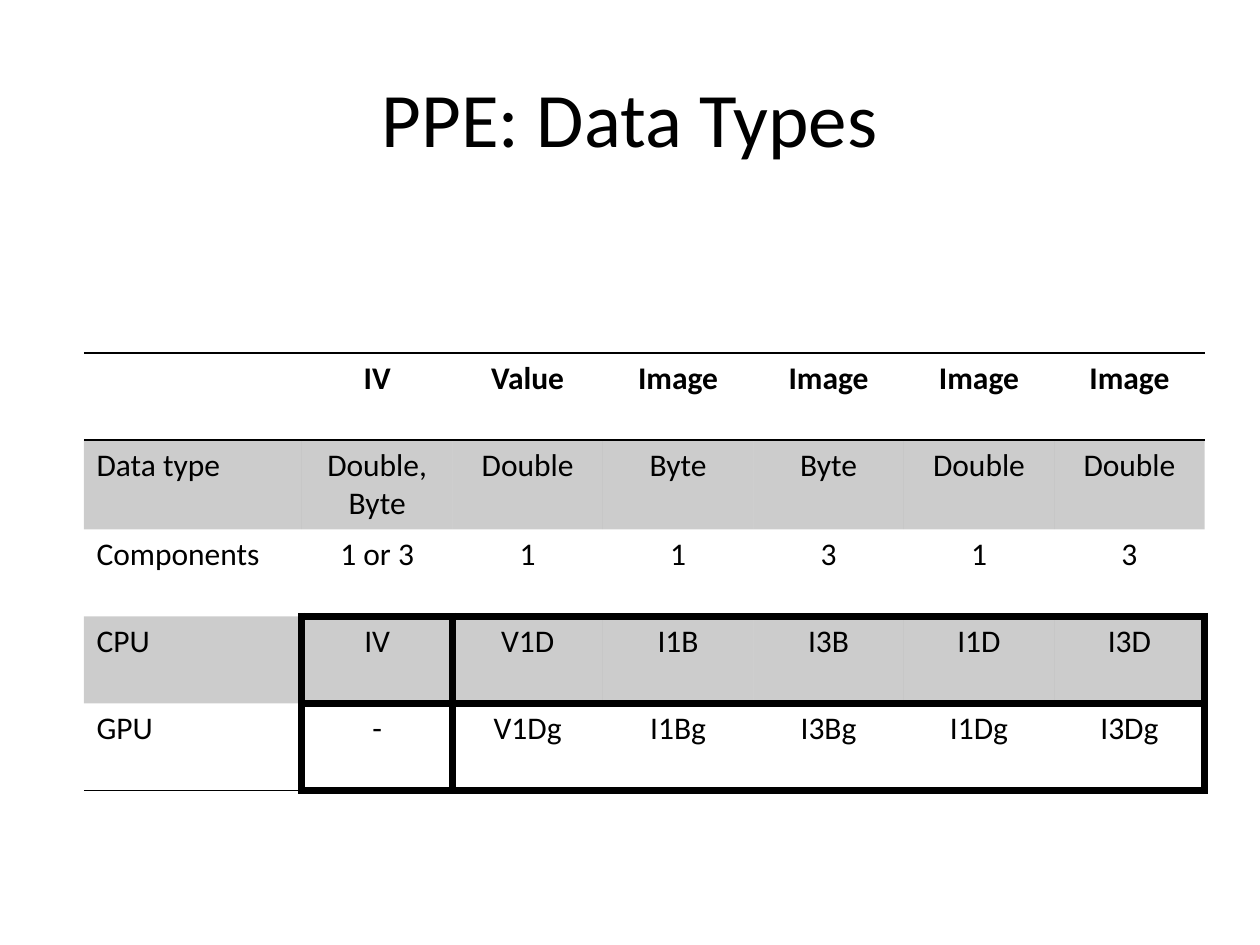
from lxml.etree import SubElement
from pptx import Presentation
from pptx.dml.color import RGBColor
from pptx.enum.text import MSO_ANCHOR, PP_ALIGN
from pptx.oxml.ns import qn
from pptx.util import Pt

EMU_PER_PX = 914400 / 126
COLORS = {"ink": "000000"}
BAND_OPACITY = 20
THIN, THICK = 1, 4.5
LABEL_WIDTH, TABLE_WIDTH, ROW_HEIGHT = 218, 1121, 87
ROWS = [
    ["", "IV", "Value", "Image", "Image", "Image", "Image"],
    ["Data type", "Double,\nByte", "Double", "Byte", "Byte", "Double", "Double"],
    ["Components", "1 or 3", "1", "1", "3", "1", "3"],
    ["CPU", "IV", "V1D", "I1B", "I3B", "I1D", "I3D"],
    ["GPU", "-", "V1Dg", "I1Bg", "I3Bg", "I1Dg", "I3Dg"],
]
BANDED_ROWS = (1, 3)
FIRST_BOXED_ROW = 3


def px(length):
    return round(length * EMU_PER_PX)


def write(frame, text, size=18, bold=False, align=PP_ALIGN.LEFT, anchor=MSO_ANCHOR.TOP):
    frame.word_wrap = True
    frame.vertical_anchor = anchor
    paragraph = frame.paragraphs[0]
    paragraph.text = text
    paragraph.alignment = align
    for run in paragraph.runs:
        run.font.name = "Calibri"
        run.font.size = Pt(size)
        run.font.bold = bold
        run.font.color.rgb = RGBColor.from_string(COLORS["ink"])


def horizontal_weight(line, column):
    """Weight of the rule above row number `line`, 0 for none."""
    if column > 0 and line >= FIRST_BOXED_ROW:
        return THICK
    return THIN if line in (0, 1, len(ROWS)) else 0


def vertical_weight(line, row):
    """Weight of the rule left of column number `line`, 0 for none."""
    boxed = row >= FIRST_BOXED_ROW and line in (1, 2, len(ROWS[0]))
    return THICK if boxed else 0


def set_borders(cell, **weights):
    properties = cell._tc.get_or_add_tcPr()
    for side, weight in weights.items():
        border = SubElement(properties, qn(f"a:ln{side}"), w=str(Pt(weight)))
        if weight:
            fill = SubElement(border, qn("a:solidFill"))
            SubElement(fill, qn("a:srgbClr"), val=COLORS["ink"])
        else:
            SubElement(border, qn("a:noFill"))


def fill_band(cell):
    cell.fill.solid()
    cell.fill.fore_color.rgb = RGBColor.from_string(COLORS["ink"])
    color = cell._tc.tcPr.find(qn("a:solidFill")).find(qn("a:srgbClr"))
    SubElement(color, qn("a:alpha"), val=str(BAND_OPACITY * 1000))


def add_title(slide, text):
    title = slide.shapes.title
    title.left, title.top, title.width, title.height = map(px, (63, 38, 1134, 157))
    write(title.text_frame, text, size=44, align=PP_ALIGN.CENTER, anchor=MSO_ANCHOR.MIDDLE)


def add_type_table(slide):
    row_count, column_count = len(ROWS), len(ROWS[0])
    table = slide.shapes.add_table(
        row_count, column_count, px(84), px(353),
        px(TABLE_WIDTH), px(ROW_HEIGHT * row_count)).table
    table.first_row = table.horz_banding = False
    for number, column in enumerate(table.columns):
        column.width = (px(TABLE_WIDTH - LABEL_WIDTH) // (column_count - 1)
                        if number else px(LABEL_WIDTH))
    for r, values in enumerate(ROWS):
        table.rows[r].height = px(ROW_HEIGHT)
        for c, value in enumerate(values):
            cell = table.cell(r, c)
            write(cell.text_frame, value, bold=r == 0,
                  align=PP_ALIGN.CENTER if c else PP_ALIGN.LEFT)
            set_borders(cell, L=vertical_weight(c, r), R=vertical_weight(c + 1, r),
                        T=horizontal_weight(r, c), B=horizontal_weight(r + 1, c))
            if r in BANDED_ROWS:
                fill_band(cell)
            else:
                cell.fill.background()


def main():
    presentation = Presentation()
    presentation.slide_width, presentation.slide_height = px(1260), px(945)
    slide = presentation.slides.add_slide(presentation.slide_layouts[5])
    add_title(slide, "PPE: Data Types")
    add_type_table(slide)
    presentation.save("out.pptx")


if __name__ == "__main__":
    main()
